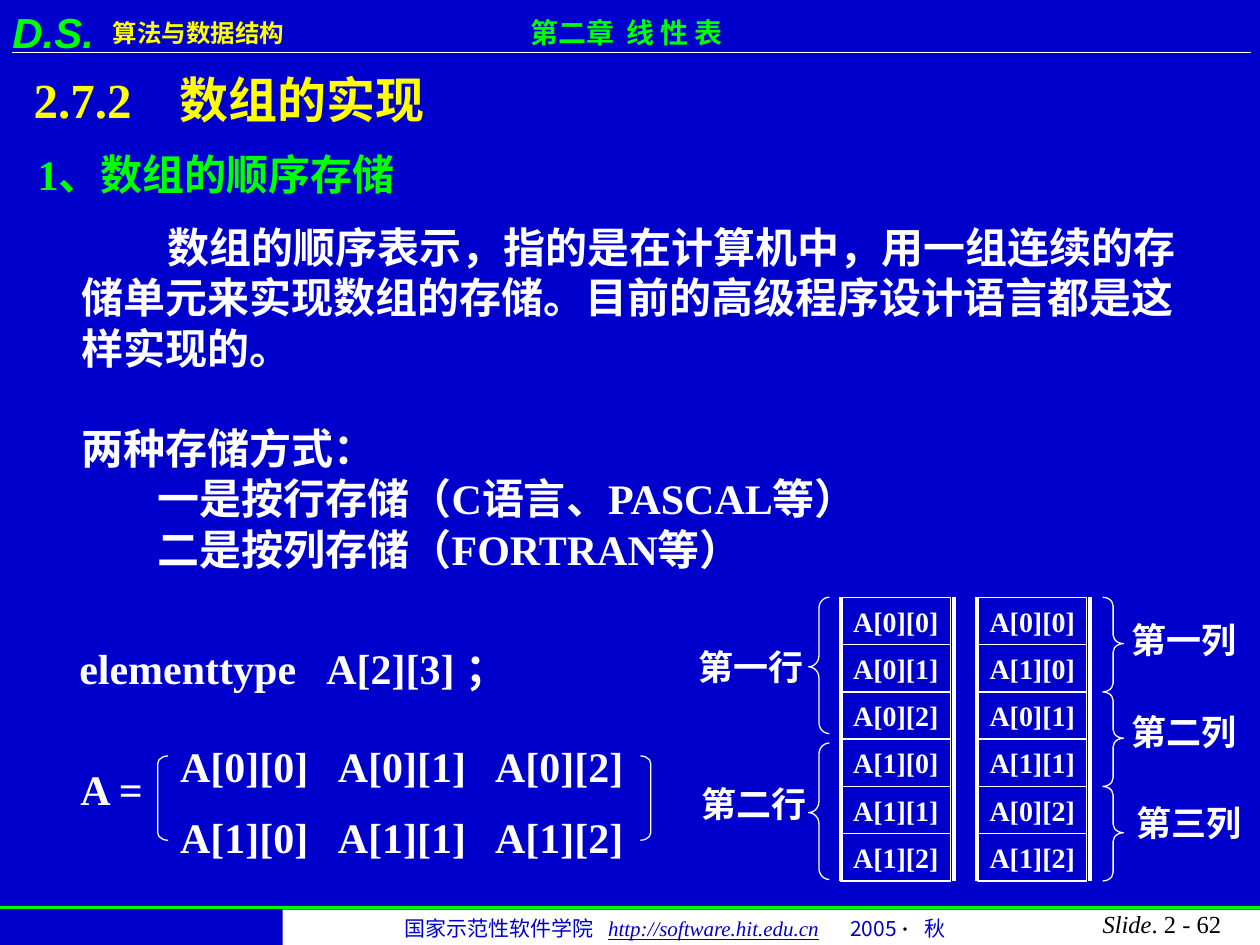
"""Build the slide on sequential storage of arrays."""
import pptx
import pptx.util
import pptx.dml.color
import pptx.enum.shapes
import pptx.enum.text
import pptx.oxml.ns
from lxml import etree

Cm, Pt = pptx.util.Cm, pptx.util.Pt
KIND = pptx.enum.shapes.MSO_SHAPE
ALIGN = pptx.enum.text.PP_ALIGN
color_of = pptx.dml.color.RGBColor.from_string
qn = pptx.oxml.ns.qn

WHITE, GREEN, YELLOW, BLUE, BLACK = "FFFFFF", "00FF00", "FFFF00", "0000CC", "000000"
SERIF, SANS_CJK = "Times New Roman", "Noto Sans CJK SC"


def write(frame, text, size=24, color=WHITE, font=SERIF, bold=True, italic=False,
          underline=False, align=ALIGN.LEFT, indent=0, before=0, spacing=None,
          tabs=(), new=True):
    paragraph = frame.paragraphs[-1]
    if new:
        if paragraph.runs:
            paragraph = frame.add_paragraph()
        paragraph.alignment = align
        paragraph.line_spacing = spacing
        paragraph.space_before = Pt(before)
        properties = paragraph._p.get_or_add_pPr()
        if indent:
            properties.set("marL", "0")
            properties.set("indent", str(Cm(indent)))
        if tabs:
            stops = etree.SubElement(properties, qn("a:tabLst"))
            for stop in tabs:
                etree.SubElement(stops, qn("a:tab"), pos=str(Cm(stop)), algn="l")
    run = paragraph.add_run()
    run.text = text
    run.font.size = Pt(size)
    run.font.name = font
    run.font.bold = bold
    run.font.italic = italic
    run.font.underline = underline
    run.font.color.rgb = color_of(color)
    east_asian = etree.Element(qn("a:ea"), typeface=SANS_CJK)
    run._r.rPr.find(qn("a:latin")).addnext(east_asian)


def draw_line(start, end, color, width):
    line = slide.shapes.add_connector(
        pptx.enum.shapes.MSO_CONNECTOR.STRAIGHT, *map(Cm, start + end))
    line.line.color.rgb = color_of(color)
    line.line.width = Pt(width)
    etree.SubElement(line._element.spPr, qn("a:effectLst"))


presentation = pptx.Presentation()
presentation.slide_width, presentation.slide_height = Cm(25.4), Cm(19.05)
slide = presentation.slides.add_slide(presentation.slide_layouts[6])
slide.background.fill.solid()
slide.background.fill.fore_color.rgb = color_of(BLUE)

draw_line((0.25, 1.06), (25.22, 1.06), WHITE, 0.75)
draw_line((0, 18.29), (25.4, 18.29), GREEN, 2)
footer_band = slide.shapes.add_shape(KIND.RECTANGLE, Cm(5.7), Cm(18.34), Cm(19.7), Cm(0.71))
footer_band.shadow.inherit = False
footer_band.fill.solid()
footer_band.fill.fore_color.rgb = color_of(WHITE)
footer_band.line.fill.background()

footer = dict(size=12, color=BLUE, bold=False)
number = dict(size=14, color=BLACK, bold=False)
label = dict(size=20)
texts = [
    ((2.02, 0.23, 4.88, 0.86),
     [("算法与数据结构", dict(size=14, color=YELLOW, font=SANS_CJK))]),
    ((0, 0, 2.54, 1.27), [("D.S.", dict(color=GREEN, font="Arial", italic=True))]),
    ((10.44, 0.18, 5, 0.94),
     [("第二章\t线 性 表", dict(size=16, color=GREEN, tabs=[1.94]))]),
    ((7.9, 18.34, 13, 0.71), [
        ("国家示范性软件学院\t", dict(footer, font=SANS_CJK, tabs=[4.11, 8.99, 10.48])),
        ("http://software.hit.edu.cn", dict(footer, italic=True, underline=True, new=False)),
        ("\t2005 ", dict(footer, font=SANS_CJK, new=False)),
        ("·\t", dict(footer, color=BLACK, bold=True, new=False)),
        ("秋", dict(footer, font=SANS_CJK, new=False))]),
    ((21.11, 18.21, 3.76, 0.84), [
        ("Slide", dict(number, italic=True, align=ALIGN.RIGHT)),
        (". 2 - 62", dict(number, new=False))]),
    ((0.43, 1.27, 10.36, 1.45),
     [("2.7.2\t数组的实现", dict(size=28, color=YELLOW, tabs=[2.94]))]),
    ((0.51, 2.87, 7.9, 1.27), [("1、数组的顺序存储", dict(color=GREEN))]),
    ((1.4, 4.34, 23.4, 7.37), [
        ("数组的顺序表示，指的是在计算机中，用一组连续的存", dict(indent=1.73)),
        ("储单元来实现数组的存储。目前的高级程序设计语言都是这", {}),
        ("样实现的。", {}),
        ("两种存储方式：", dict(before=28.5)),
        ("一是按行存储（C语言、PASCAL等）", dict(indent=1.53)),
        ("二是按列存储（FORTRAN等）", dict(indent=1.53))]),
    ((1.35, 12.83, 9.6, 1.27), [("elementtype\tA[2][3] ；", dict(tabs=[4.98]))]),
    ((1.37, 15.27, 1.8, 1.27), [("A =", {})]),
    ((3.38, 14.4, 11.2, 3.1), [
        ("\t".join(f"A[{row}][{column}]" for column in range(3)),
         dict(spacing=1.4, tabs=[3.18, 6.35])) for row in range(2)]),
    ((13.84, 12.88, 2.62, 1.12), [("第一行", label)]),
    ((13.89, 15.65, 2.62, 1.12), [("第二行", label)]),
    ((22.56, 12.34, 2.62, 1.12), [("第一列", label)]),
    ((22.56, 14.2, 2.62, 1.12), [("第二列", label)]),
    ((22.66, 16.03, 2.62, 1.12), [("第三列", label)]),
]
for place, runs in texts:
    frame = slide.shapes.add_textbox(*map(Cm, place)).text_frame
    frame.word_wrap = any("tabs" in look or "indent" in look for _, look in runs)
    for text, look in runs:
        write(frame, text, **look)

memory_top, memory_height = 12.04, 5.72
cell_height = memory_height / 6
by_row = [(row, column) for row in range(2) for column in range(3)]
by_column = [(row, column) for column in range(3) for row in range(2)]
for memory_left, order in ((16.95, by_row), (19.7, by_column)):
    for position, (row, column) in enumerate(order):
        cell = slide.shapes.add_shape(
            KIND.RECTANGLE, Cm(memory_left), Cm(memory_top + position * cell_height),
            Cm(2.21), Cm(cell_height))
        cell.shadow.inherit = False
        cell.fill.background()
        cell.line.color.rgb = color_of(WHITE)
        cell.line.width = Pt(0.75)
        cell.text_frame.word_wrap = False
        write(cell.text_frame, f"A[{row}][{column}]", size=16)
    for side in (memory_left, memory_left + 2.28):
        draw_line((side, memory_top), (side, memory_top + memory_height), WHITE, 2.25)

enclosures = [
    (KIND.LEFT_BRACKET, (3.18, 15.24, 0.21, 1.7), [0.72]),
    (KIND.RIGHT_BRACKET, (12.91, 15.24, 0.21, 1.7), [0.72]),
]
enclosures += [(KIND.LEFT_BRACE, (16.3, top, 0.42, 2.75), [0.53, 0.51])
               for top in (memory_top, 14.98)]
enclosures += [(KIND.RIGHT_BRACE, (22.23, memory_top + 2 * column * cell_height,
                                   0.42, 2 * cell_height), [0.41, 0.49])
               for column in range(3)]
for kind, place, bends in enclosures:
    enclosure = slide.shapes.add_shape(kind, *map(Cm, place))
    enclosure.shadow.inherit = False
    enclosure.fill.background()
    enclosure.line.color.rgb = color_of(WHITE)
    enclosure.line.width = Pt(0.75)
    for index, bend in enumerate(bends):
        enclosure.adjustments[index] = bend

presentation.save("out.pptx")
